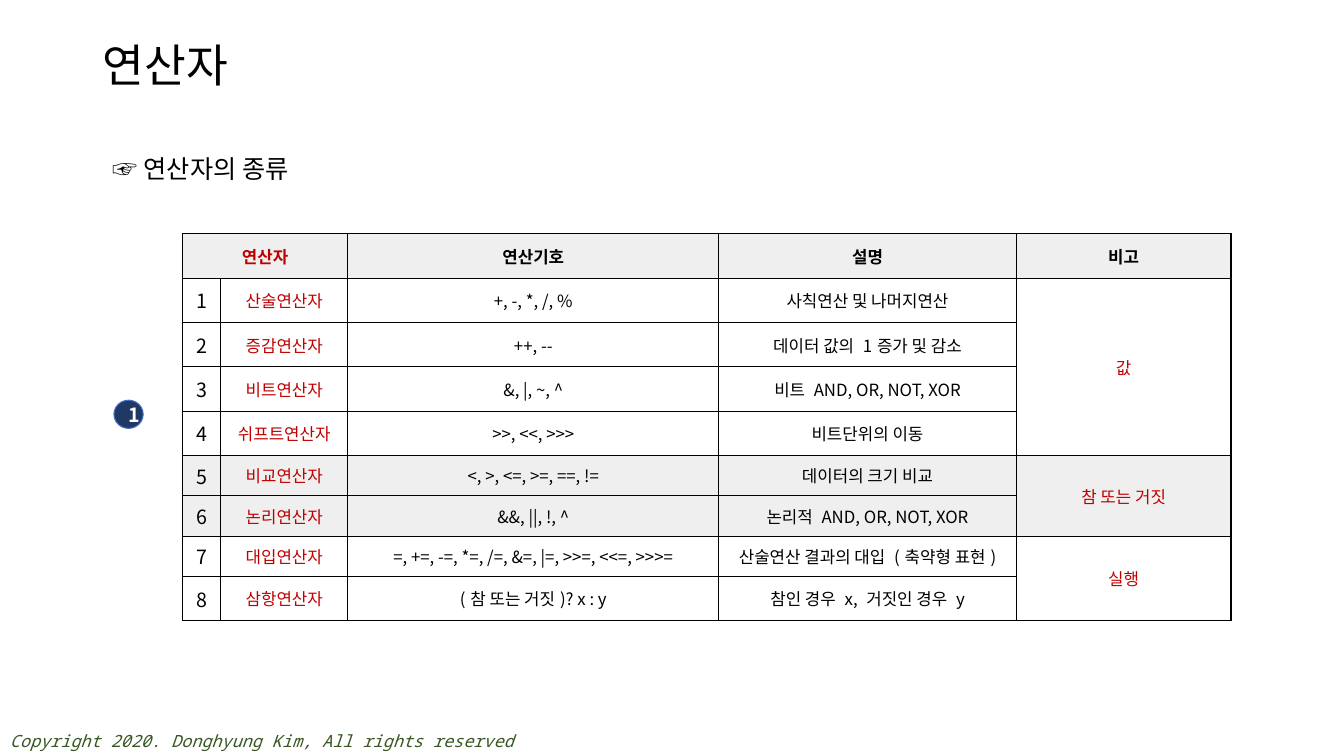
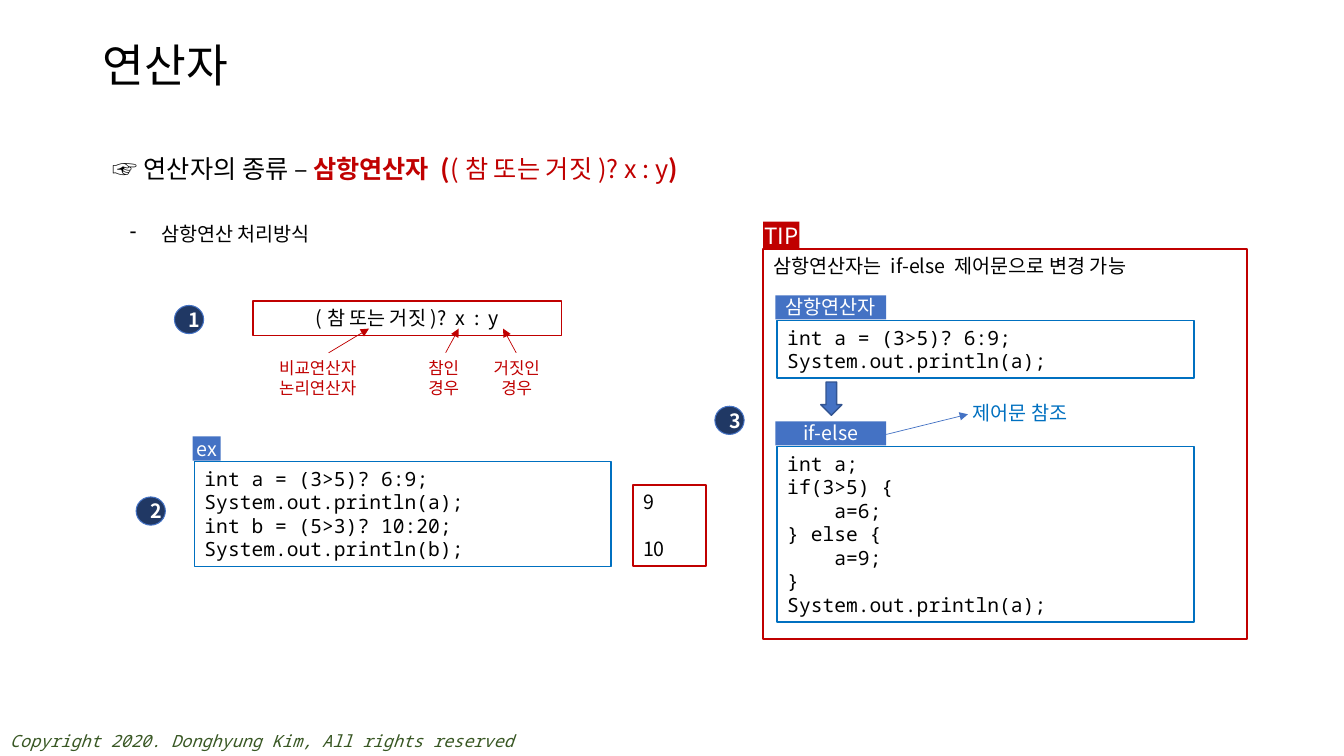
from lxml import etree
from pptx import Presentation, util as u
from pptx.dml.color import RGBColor
from pptx.enum import shapes, text
from pptx.oxml.ns import qn

# Shared look
C = dict(black="000000", white="FFFFFF", red="C00000", blue="4472C4", sky="0070C0",
         navy="203864", edge="325491", green="385723", grey="D9D9D9")
SANS, MONO = "Noto Sans CJK KR", "Noto Sans Mono"
CENTER, LEFT = text.PP_ALIGN.CENTER, text.PP_ALIGN.LEFT
TOP, MIDDLE = text.MSO_ANCHOR.TOP, text.MSO_ANCHOR.MIDDLE
SHAPE = shapes.MSO_SHAPE

# Content
TITLE = "연산자"
FOOTER = "Copyright 2020. Donghyung Kim, All rights reserved"
KINDS = "☞ 연산자의 종류"
HEAD = ["연산자", "", "연산기호", "설명", "비고"]
OPERATORS = [
    ("산술연산자", "+, -, *, /, %", "사칙연산 및 나머지연산"),
    ("증감연산자", "++, --", "데이터 값의 1증가 및 감소"),
    ("비트연산자", "&, |, ~, ^", "비트 AND, OR, NOT, XOR"),
    ("쉬프트연산자", ">>, <<, >>>", "비트단위의 이동"),
    ("비교연산자", "<, >, <=, >=, ==, !=", "데이터의 크기 비교"),
    ("논리연산자", "&&, ||, !, ^", "논리적 AND, OR, NOT, XOR"),
    ("대입연산자", "=, +=, -=, *=, /=, &=, |=, >>=, <<=, >>>=", "산술연산 결과의 대입 (축약형 표현)"),
    ("삼항연산자", "(참 또는 거짓)? x : y", "참인 경우 x, 거짓인 경우 y"),
]
RESULTS = {1: ("값", 4), 5: ("참 또는 거짓", 2), 7: ("실행", 2)}  # first row: note, rows
SHADED = (0, 5, 6)
COLS = [0.38, 1.26, 3.68, 2.95, 2.13]
ROWS = [0.44] * 5 + [0.4] * 3 + [0.44]

TERNARY_HEAD = [(KINDS + " – ", {}), ("삼항연산자 (", dict(color="red", bold=True)),
                ("(참 또는 거짓)? x : y", dict(color="red")),
                (")", dict(color="red", bold=True))]
TERNARY = ["int a = (3>5)? 6:9;", "System.out.println(a);"]
SAMPLE = TERNARY + ["int b = (5>3)? 10:20;", "System.out.println(b);"]
IF_ELSE = ["int a;", "if(3>5) {", "    a=6;", "} else {", "    a=9;", "}",
           "System.out.println(a);"]
# Text, left, width, alignment, arrow start x, arrow end x
OPERANDS = [(["비교연산자", "논리연산자"], 2.67, 1.04, LEFT, 3.26, 3.66),
            (["참인", "경우"], 4.15, 0.54, LEFT, 4.42, 4.55),
            (["거짓인", "경우"], 4.77, 0.71, CENTER, 5.12, 4.99)]


def rgb(name):
    return RGBColor.from_string(C[name])


def inches(values):
    return [u.Inches(v) for v in values]


def write(tf, lines, size=14, font=SANS, color="black", bold=False, italic=False,
          align=LEFT, anchor=TOP, wrap=True, inset=None, gap=0, spacing=None):
    """Each line is a string or a list of (text, format changes)."""
    tf.word_wrap, tf.vertical_anchor = wrap, anchor
    if inset is not None:
        tf.margin_left = tf.margin_right = tf.margin_top = tf.margin_bottom = u.Inches(inset)
    for i, line in enumerate([lines] if isinstance(lines, str) else lines):
        p = tf.add_paragraph() if i else tf.paragraphs[0]
        p.alignment, p.line_spacing = align, spacing
        p.space_before = u.Pt(gap if i else 0)
        for words, change in [(line, {})] if isinstance(line, str) else line:
            style = dict(color=color, bold=bold) | change
            r = p.add_run()
            r.text = words
            r.font.size, r.font.name = u.Pt(size), font
            r.font.bold, r.font.italic = style["bold"], italic
            r.font.color.rgb = rgb(style["color"])
            ea = etree.SubElement(r.font._element, qn("a:ea"))
            ea.set("typeface", font)


def label(s, at, lines, **fmt):
    sp = s.shapes.add_textbox(*inches(at))
    write(sp.text_frame, lines, **fmt)
    return sp


def shape(s, at, lines=(), kind=SHAPE.RECTANGLE, fill=None, line=None, weight=1.25, **fmt):
    sp = s.shapes.add_shape(kind, *inches(at))
    sp.shadow.inherit = False
    if fill:
        sp.fill.solid()
        sp.fill.fore_color.rgb = rgb(fill)
    else:
        sp.fill.background()
    if line:
        sp.line.color.rgb, sp.line.width = rgb(line), u.Pt(weight)
    else:
        sp.line.fill.background()
    write(sp.text_frame, lines, **fmt)


def tag(s, at, words, fill="blue", size=14):
    shape(s, at, words, fill=fill, size=size, color="white", align=CENTER, inset=0)


def badge(s, x, y, number):
    shape(s, (x, y, 0.29, 0.28), number, SHAPE.OVAL, "navy", "blue", 0.75,
          color="white", bold=True, align=CENTER, anchor=MIDDLE)


def code(s, x, y, name, width, lines):
    """A code box with its name tag on top; the height follows the lines."""
    tag(s, (x - 0.02, y - 0.25, width, 0.24), name)
    shape(s, (x, y, 4.13, 0.1 + 0.235 * len(lines)), lines, line="sky", font=MONO)


def arrow(s, start, end, color):
    ln = s.shapes.add_connector(shapes.MSO_CONNECTOR.STRAIGHT, *inches(start + end))
    ln.line.color.rgb, ln.line.width = rgb(color), u.Pt(0.5)
    etree.SubElement(ln.line._get_or_add_ln(), qn("a:tailEnd")).set("type", "triangle")
    etree.SubElement(ln._element.spPr, qn("a:effectLst"))


def cell_format(cell, shaded):
    tcPr = cell._tc.get_or_add_tcPr()
    for side in ("lnL", "lnR", "lnT", "lnB"):
        ln = etree.SubElement(tcPr, qn("a:" + side), w=str(u.Pt(1)))
        solid = etree.SubElement(ln, qn("a:solidFill"))
        etree.SubElement(solid, qn("a:srgbClr"), val=C["black"])
    if shaded:
        cell.fill.solid()
        cell.fill.fore_color.rgb = rgb("grey")
        tint = tcPr.find(qn("a:solidFill")).find(qn("a:srgbClr"))
        etree.SubElement(tint, qn("a:alpha"), val="40000")
    else:
        cell.fill.background()


def operator_table(s):
    size = sum(COLS), sum(ROWS)
    table = s.shapes.add_table(len(ROWS), len(COLS), *inches((1.81, 2.32) + size)).table
    table.first_row = table.horz_banding = False
    for col, width in zip(table.columns, COLS):
        col.width = u.Inches(width)
    for row, height in zip(table.rows, ROWS):
        row.height = u.Inches(height)
    body = [(str(i), *op, RESULTS.get(i, ("",))[0]) for i, op in enumerate(OPERATORS, 1)]
    for i, row in enumerate([HEAD] + body):
        for j, words in enumerate(row):
            cell = table.cell(i, j)
            cell_format(cell, i in SHADED)
            red = j == 0 if i == 0 else j in (1, 4)
            if words:
                write(cell.text_frame, words, size=14 if i and j == 0 else 12, bold=i == 0,
                      color="red" if red else "black", align=CENTER)
            cell.vertical_anchor = MIDDLE
    table.cell(0, 0).merge(table.cell(0, 1))
    for first, (_, count) in RESULTS.items():
        table.cell(first, 4).merge(table.cell(first + count - 1, 4))


# Template: title place and footer on the layout
prs = Presentation()
prs.slide_width, prs.slide_height = inches((13.33, 7.5))
layout = prs.slide_layouts[5]
title = layout.placeholders[0]
title.left, title.top, title.width, title.height = inches((0.92, 0.4, 11.5, 0.54))


def new_slide(heading, width):
    s = prs.slides.add_slide(layout)
    write(s.shapes.title.text_frame, TITLE, size=32.4, anchor=MIDDLE, spacing=0.9)
    s.shapes.title.text_frame.auto_size = text.MSO_AUTO_SIZE.NONE
    label(s, (1.02, 1.47, width, 0.4), [heading], size=18)
    return s


# Slide 1: kinds of operators
s = new_slide(KINDS, 3.75)
footer = label(s, (0, 7.2, 7.19, 0.3), FOOTER, size=12, font=MONO, color="green", italic=True)
layout.shapes.element.append(footer.element)
operator_table(s)
badge(s, 1.13, 3.97, "1")

# Slide 2: ternary operator
s = new_slide(TERNARY_HEAD, 10.98)
method = label(s, (1.19, 2.15, 2.22, 0.34), "삼항연산 처리방식", wrap=False)
pPr = method.text_frame.paragraphs[0]._p.get_or_add_pPr()
pPr.set("marL", str(u.Inches(0.31)))
pPr.set("indent", str(-u.Inches(0.31)))
etree.SubElement(pPr, qn("a:buChar")).set("char", "-")

# Sample and its output
shape(s, (6.28, 4.81, 0.72, 0.81), ["9", "10"], line="red", weight=1.5, gap=17)
code(s, 1.93, 4.58, "ex", 0.28, SAMPLE)

# Syntax with operands
shape(s, (2.51, 2.99, 3.06, 0.34), "(참 또는 거짓)?  x  :  y", line="red", align=CENTER)
for words, x, width, align, start, end in OPERANDS:
    label(s, (x, 3.5, width, 0.5), words, size=12, color="red", align=align, wrap=False)
    arrow(s, (start, 3.5), (end, 3.26), "red")

# Tip panel
shape(s, (7.57, 2.47, 4.8, 3.87), "삼항연산자는 if-else 제어문으로 변경 가능", line="red")
tag(s, (7.57, 2.2, 0.36, 0.27), "TIP", "red", 16)
code(s, 7.71, 3.18, "삼항연산자", 1.1, TERNARY)
code(s, 7.71, 4.43, "if-else", 1.1, IF_ELSE)
arrow(s, (8.79, 4.31), (9.6, 4.11), "blue")
label(s, (9.55, 3.93, 1.25, 0.34), "제어문 참조", color="sky", wrap=False)
shape(s, (8.14, 3.79, 0.21, 0.33), kind=SHAPE.DOWN_ARROW, fill="blue", line="edge", weight=1)

for number, (x, y) in enumerate([(1.73, 3.03), (1.35, 4.93), (7.09, 4.03)], 1):
    badge(s, x, y, str(number))

prs.save("out.pptx")
